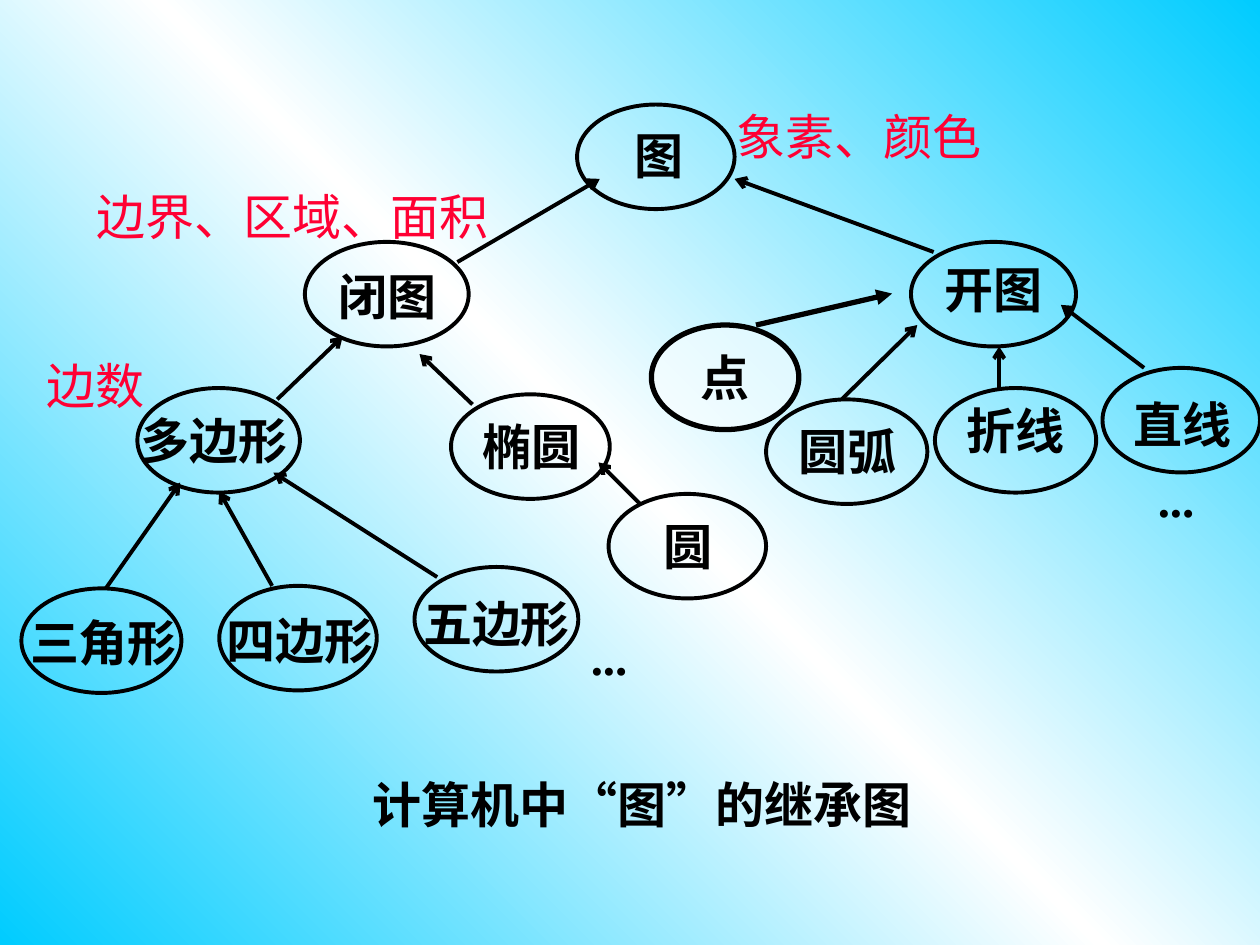
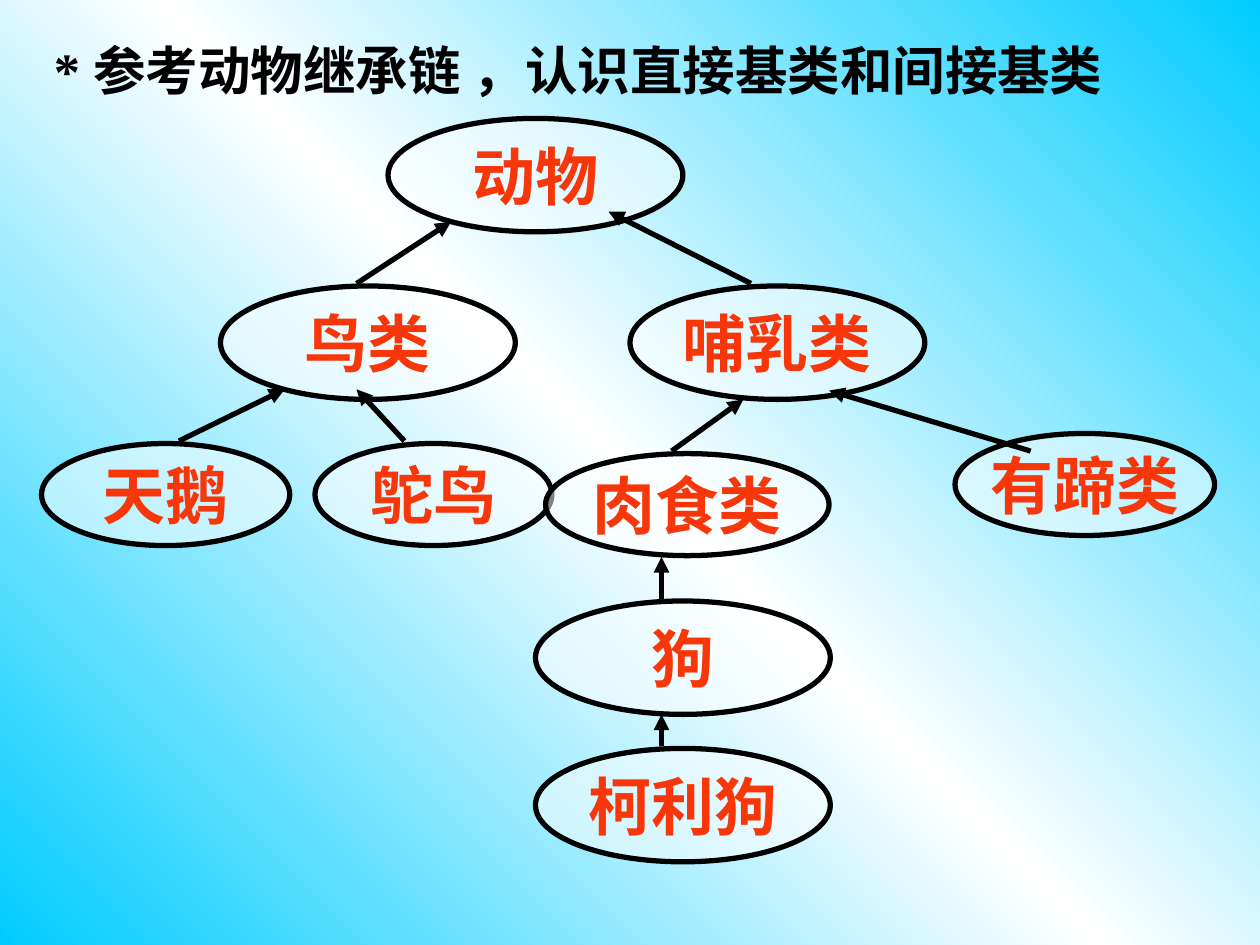
"""Build two slides of inheritance diagrams: computer shapes and animals."""
from copy import deepcopy

from lxml import etree
from pptx import Presentation
from pptx.dml.color import RGBColor
from pptx.enum.shapes import MSO_CONNECTOR, MSO_SHAPE
from pptx.enum.text import MSO_ANCHOR, PP_ALIGN
from pptx.oxml.ns import qn
from pptx.util import Inches, Pt

OVAL = MSO_SHAPE.OVAL
STRAIGHT = MSO_CONNECTOR.STRAIGHT
CENTER = PP_ALIGN.CENTER
MIDDLE = MSO_ANCHOR.MIDDLE

FONT = "Times New Roman"
COLORS = {"sky": "00CCFF", "white": "FFFFFF", "ink": "000000",
          "attribute": "FF0033", "animal": "F73609"}
THIN, THICK = 2.25, 3
OVAL_H = 0.83

# label, oval (left, top, width), label (left, top), arrow (from, to)
FIGURES = [
    ("图", (4.58, 0.83, 1.25), (4.94, 0.95), None),
    ("闭图", (2.42, 1.92, 1.3), (2.59, 2.07), (3.63, 2.08, 4.76, 1.42)),
    ("开图", (7.23, 1.92, 1.31), (7.4, 2.01), (7.41, 2, 5.83, 1.42)),
    ("多边形", (1.09, 3.08, 1.29), (1.02, 3.21), (2.2, 3.17, 2.72, 2.67)),
    ("椭圆", (3.58, 3.13, 1.26), (3.73, 3.26), (3.75, 3.21, 3.33, 2.81)),
    ("三角形", (0.17, 4.67, 1.27), (0.14, 4.81), (0.84, 4.67, 1.43, 3.83)),
    ("四边形", (1.74, 4.65, 1.25), (1.7, 4.8), (2.16, 4.65, 1.74, 3.9)),
    ("五边形", (3.29, 4.5, 1.3), (3.26, 4.66), (3.47, 4.58, 2.17, 3.75)),
    ("圆", (4.83, 3.92, 1.25), (5.17, 4.05), (5.08, 4, 4.75, 3.67)),
    ("圆弧", (6.08, 3.17, 1.28), (6.24, 3.3), (6.68, 3.17, 7.28, 2.58)),
    ("折线", (7.42, 3.08, 1.28), (7.57, 3.13), (7.93, 3.08, 7.93, 2.75)),
    ("直线", (8.75, 2.92, 1.25), (8.9, 3.08), (9.08, 2.92, 8.42, 2.42)),
]
POINT = ("点", (5.17, 2.58, 1.17, OVAL_H), (6, 2.58, 7.08, 2.33))
CAPTIONS = [("...", (4.59, 4.92)), ("...", (9.09, 3.67)),
            ("计算机中“图”的继承图", (2.86, 6.1))]
ATTRIBUTES = [("象素、颜色", (5.75, 0.8)), ("边界、区域、面积", (0.67, 1.43)),
              ("边数", (0.27, 2.77))]

ANIMAL_TITLE = "* 参考动物继承链 ，认识直接基类和间接基类"
BIG = (2.34, 0.9)
ANIMALS = [
    ("动物", (3.08, 0.94, *BIG)),
    ("鸟类", (1.75, 2.27, *BIG)),
    ("哺乳类", (5, 2.27, *BIG)),
    ("天鹅", (0.33, 3.52, 1.97, 0.81)),
    ("鸵鸟", (2.5, 3.52, 1.88, 0.81)),
    ("肉食类", (4.33, 3.6, 2.25, 0.81)),
    ("有蹄类", (7.58, 3.44, 2.06, 0.81)),
    ("狗", (4.25, 4.77, *BIG)),
    ("柯利狗", (4.25, 5.94, *BIG)),
]
ANIMAL_ARROWS = [
    (2.83, 2.25, 3.58, 1.76), (5.96, 2.25, 4.83, 1.68),
    (1.42, 3.5, 2.26, 3.09), (3.21, 3.5, 2.83, 3.09),
    (5.33, 3.58, 5.9, 3.17), (8.18, 3.58, 6.58, 3.1),
    (5.25, 4.75, 5.25, 4.42), (5.25, 5.92, 5.25, 5.67),
]


def rgb(name):
    return RGBColor.from_string(COLORS[name])


def add_slide(prs):
    s = prs.slides.add_slide(prs.slide_layouts[6])
    fill = s.background.fill
    fill.gradient()
    fill.gradient_angle = 45
    stops = s.element.find(".//" + qn("a:gsLst"))
    stops.append(deepcopy(stops[0]))
    for i, (stop, name) in enumerate(zip(fill.gradient_stops, ("sky", "white", "sky"))):
        stop.color.rgb = rgb(name)
        stop.position = i / 2
    return s


def write(tf, text, size, color, bold=True):
    p = tf.paragraphs[0]
    p.text = text
    font = p.runs[0].font
    font.name, font.size, font.bold = FONT, Pt(size), bold
    font.color.rgb = rgb(color)
    return p


def add_label(s, text, at, color="ink", bold=True):
    width = 0.22 + sum(0.1 if c == "." else 0.39 for c in text)
    sp = s.shapes.add_textbox(*map(Inches, (*at, width, 0.57)))
    sp.text_frame.word_wrap = True
    write(sp.text_frame, text, 28, color, bold)


def add_oval(s, box, weight):
    sp = s.shapes.add_shape(OVAL, *map(Inches, box))
    sp.shadow.inherit = False
    sp.fill.background()
    sp.line.color.rgb = rgb("ink")
    sp.line.width = Pt(weight)
    return sp


def add_glass_oval(s, text, box, size, color):
    sp = add_oval(s, box, THICK)
    sp.fill.solid()
    sp.fill.fore_color.rgb = rgb("white")
    white = sp.element.spPr.find(qn("a:solidFill"))[0]
    etree.SubElement(white, qn("a:alpha"), val="50000")
    tf = sp.text_frame
    tf.word_wrap = False
    tf.vertical_anchor = MIDDLE
    p = write(tf, text, size, color)
    p.alignment = CENTER
    p.space_before = Pt(size / 4)


def add_arrow(s, ends, weight, head):
    line = s.shapes.add_connector(STRAIGHT, *map(Inches, ends))
    line.line.color.rgb = rgb("ink")
    line.line.width = Pt(weight)
    spPr = line.element.spPr
    etree.SubElement(spPr.find(qn("a:ln")), qn("a:tailEnd"), type=head)
    etree.SubElement(spPr, qn("a:effectLst"))


def build_figures(prs):
    s = add_slide(prs)
    for text, oval, at, ends in FIGURES:
        add_oval(s, (*oval, OVAL_H), THIN)
        if ends:
            add_arrow(s, ends, THIN, "arrow")
        add_label(s, text, at)
    for text, at in CAPTIONS:
        add_label(s, text, at)
    for text, at in ATTRIBUTES:
        add_label(s, text, at, "attribute", False)
    text, box, ends = POINT
    add_glass_oval(s, text, box, 28, "ink")
    add_arrow(s, ends, THICK, "triangle")


def build_animals(prs):
    s = add_slide(prs)
    sp = s.shapes.add_textbox(*map(Inches, (0.33, 0.25, 9.42, 6.17)))
    sp.text_frame.word_wrap = True
    p = write(sp.text_frame, ANIMAL_TITLE, 30, "ink")
    p.space_before = Pt(7.5)
    pPr = p._p.get_or_add_pPr()
    pPr.set("marL", str(Inches(0.38)))
    pPr.set("indent", str(Inches(-0.38)))
    for text, box in ANIMALS:
        add_glass_oval(s, text, box, 36, "animal")
    for ends in ANIMAL_ARROWS:
        add_arrow(s, ends, THICK, "triangle")


def main():
    prs = Presentation()
    prs.slide_width, prs.slide_height = Inches(10), Inches(7.5)
    build_figures(prs)
    build_animals(prs)
    prs.save("out.pptx")


if __name__ == "__main__":
    main()
